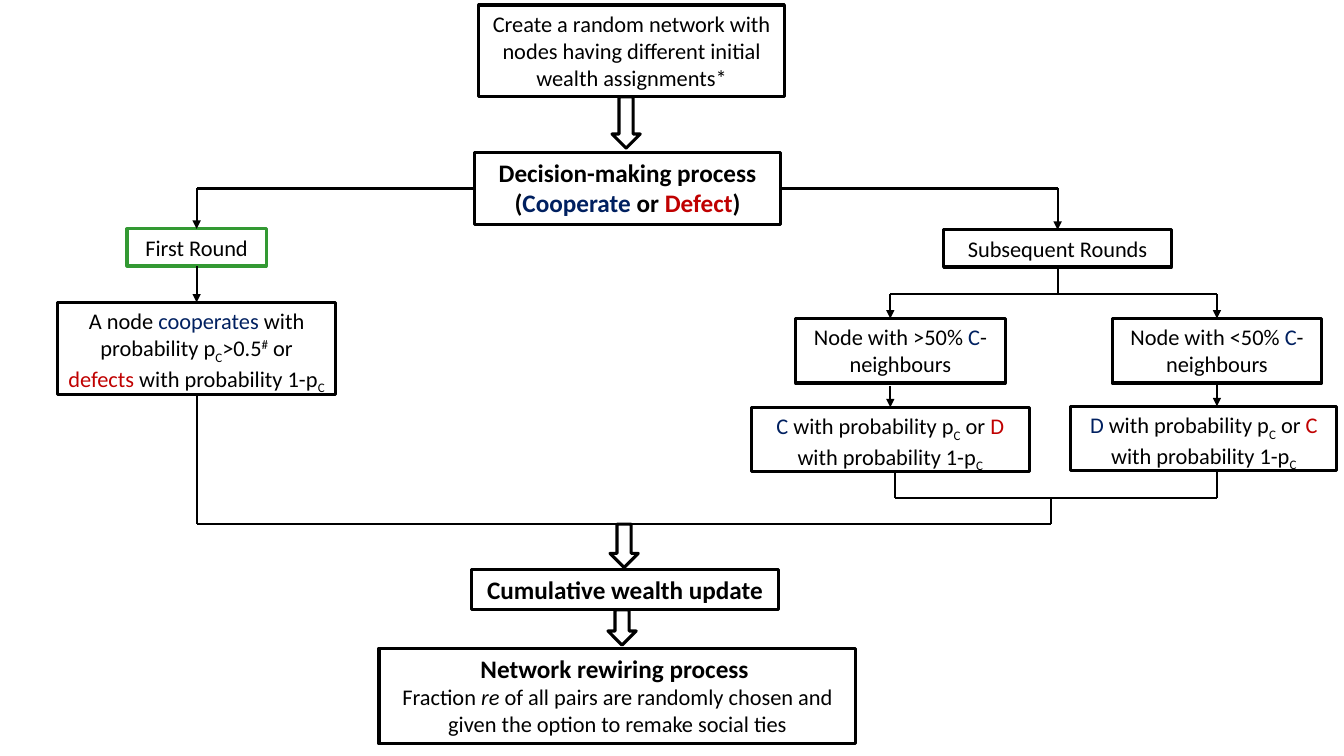
from dataclasses import dataclass

from pptx import Presentation
from pptx.dml.color import RGBColor
from pptx.enum.shapes import MSO_CONNECTOR, MSO_SHAPE
from pptx.enum.text import MSO_ANCHOR, PP_ALIGN
from pptx.oxml.ns import qn
from pptx.shapes.autoshape import Shape
from pptx.shapes.shapetree import SlideShapes
from pptx.text.text import _Paragraph as Paragraph
from pptx.util import Emu, Pt
from lxml.etree import SubElement

PX = 9144  # 100 px to the inch
FONT = "Calibri"
COLOURS = {"black": "000000", "blue": "002060", "red": "C00000", "green": "339933"}
TOP, LEFT, BOTTOM, RIGHT = range(4)


@dataclass(frozen=True)
class Span:
    text: str
    colour: str = "black"
    baseline: int = 0
    italic: bool = False


@dataclass(frozen=True)
class Para:
    spans: tuple[Span, ...]
    size: int = 16
    bold: bool = False


@dataclass(frozen=True)
class Box:
    key: str
    left: int
    top: int
    width: int
    height: int
    paras: tuple[Para, ...]
    outline: str = "black"


@dataclass(frozen=True)
class Joint:
    """The middle of one side of a box."""
    box: str
    side: int


@dataclass(frozen=True)
class Link:
    start: Joint | tuple[int, int]
    end: Joint | tuple[int, int]
    arrow: bool = False


def plain(text: str) -> tuple[Para, ...]:
    return (Para((Span(text),)),)


def heading(*spans: Span) -> Para:
    return Para(spans, size=18, bold=True)


def neighbours(sign: str) -> tuple[Para, ...]:
    return (Para((Span(f"Node with {sign}50% "), Span("C", "blue"), Span("-neighbours"))),)


SUB_C = Span("C", baseline=-25)


def choice(likely: str, unlikely: str) -> tuple[Para, ...]:
    return (Para((Span(likely, "blue"), Span(" with probability p"), SUB_C, Span(" or "),
                  Span(unlikely, "red"), Span(" with probability 1-p"), SUB_C)),)


FIRST_RULE = (Para((
    Span("A node "), Span("cooperates", "blue"), Span(" with probability p"), SUB_C,
    Span(">0.5"), Span("#", baseline=30), Span(" or "), Span("defects", "red"),
    Span(" with probability 1-p"), SUB_C)),)

BOXES = (
    Box("create", 475, 5, 303, 91, plain(
        "Create a random network with nodes having different initial wealth assignments*")),
    Box("decision", 471, 151, 303, 72, (
        heading(Span("Decision-making process")),
        heading(Span("("), Span("Cooperate", "blue"), Span(" or "), Span("Defect", "red"),
                Span(")")))),
    Box("first", 126, 227, 138, 37, plain("First Round"), "green"),
    Box("subsequent", 936, 228, 226, 37, plain("Subsequent Rounds")),
    Box("first rule", 57, 300, 276, 91, FIRST_RULE),
    Box("mostly C", 789, 316, 208, 64, neighbours(">")),
    Box("rarely C", 1103, 316, 208, 64, neighbours("<")),
    Box("choose C", 745, 404, 276, 64, choice("C", "D")),
    Box("choose D", 1062, 403, 264, 64, choice("D", "C")),
    Box("wealth", 468, 565, 304, 40, (heading(Span("Cumulative wealth update")),)),
    Box("rewiring", 376, 643, 473, 95, (
        heading(Span("Network rewiring process ")),
        Para((Span("Fraction "), Span("re", italic=True),
              Span(" of all pairs are randomly chosen and given the option to remake "
                   "social ties"))))),
)

BLOCK_ARROWS = ((607, 96, 28, 51), (605, 520, 28, 43), (603, 605, 28, 35))

FIRST_X, NEXT_X, C_X, D_X = 195, 1049, 883, 1207
FORK_Y, MERGE_Y, RAIL_Y = 292, 494, 520
MERGE_LEFT, MERGE_MID = 888, 1042

LINKS = (
    Link(Joint("decision", LEFT), (FIRST_X, 187)),
    Link(Joint("decision", RIGHT), (NEXT_X, 187)),
    Link((FIRST_X, 187), Joint("first", TOP), arrow=True),
    Link((NEXT_X, 187), Joint("subsequent", TOP), arrow=True),
    Link(Joint("first", BOTTOM), Joint("first rule", TOP), arrow=True),
    Link(Joint("subsequent", BOTTOM), (NEXT_X, FORK_Y)),
    Link((C_X, FORK_Y), (D_X, FORK_Y)),
    Link((C_X, FORK_Y), (C_X, 316), arrow=True),
    Link((D_X, FORK_Y), Joint("rarely C", TOP), arrow=True),
    Link((C_X, 383), Joint("choose C", TOP), arrow=True),
    Link(Joint("rarely C", BOTTOM), (D_X, 403), arrow=True),
    Link((MERGE_LEFT, 468), (MERGE_LEFT, MERGE_Y)),
    Link((D_X, 467), (D_X, MERGE_Y)),
    Link((MERGE_LEFT, MERGE_Y), (D_X, MERGE_Y)),
    Link((MERGE_MID, MERGE_Y), (MERGE_MID, RAIL_Y)),
    Link((MERGE_MID, RAIL_Y), (FIRST_X, RAIL_Y)),
    Link(Joint("first rule", BOTTOM), (FIRST_X, RAIL_Y)),
)


def px(length: int) -> Emu:
    return Emu(length * PX)


def rgb(name: str) -> RGBColor:
    return RGBColor.from_string(COLOURS[name])


def add_outline(shapes: SlideShapes, preset: MSO_SHAPE, frame: tuple[int, int, int, int],
                colour: str = "black") -> Shape:
    shape = shapes.add_shape(preset, *map(px, frame))
    shape.shadow.inherit = False
    shape.fill.background()
    shape.line.color.rgb = rgb(colour)
    shape.line.width = Pt(2.25)
    return shape


def write_para(target: Paragraph, para: Para) -> None:
    target.alignment = PP_ALIGN.CENTER
    target.font.name = FONT
    target.font.size = Pt(para.size)
    target.font.bold = para.bold
    for span in para.spans:
        run = target.add_run()
        run.text = span.text
        run.font.color.rgb = rgb(span.colour)
        if span.italic:
            run.font.italic = True
        if span.baseline:
            run._r.get_or_add_rPr().set("baseline", str(span.baseline * 1000))


def add_box(shapes: SlideShapes, box: Box) -> Shape:
    shape = add_outline(shapes, MSO_SHAPE.RECTANGLE,
                        (box.left, box.top, box.width, box.height), box.outline)
    frame = shape.text_frame
    frame.word_wrap = True
    frame.vertical_anchor = MSO_ANCHOR.TOP
    for index, para in enumerate(box.paras):
        write_para(frame.add_paragraph() if index else frame.paragraphs[0], para)
    return shape


def add_link(shapes: SlideShapes, link: Link, drawn: dict[str, Shape]) -> None:
    points = [(0, 0) if isinstance(end, Joint) else end for end in (link.start, link.end)]
    line = shapes.add_connector(MSO_CONNECTOR.STRAIGHT, *map(px, points[0] + points[1]))
    if isinstance(link.start, Joint):
        line.begin_connect(drawn[link.start.box], link.start.side)
    if isinstance(link.end, Joint):
        line.end_connect(drawn[link.end.box], link.end.side)
    line.line.color.rgb = rgb("black")
    line.line.width = Pt(1.5)
    if link.arrow:
        SubElement(line.line._get_or_add_ln(), qn("a:tailEnd")).set("type", "triangle")
    SubElement(line._element.spPr, qn("a:effectLst"))


def main() -> None:
    deck = Presentation()
    deck.slide_width, deck.slide_height = px(1333), px(750)
    shapes = deck.slides.add_slide(deck.slide_layouts[6]).shapes
    drawn = {box.key: add_box(shapes, box) for box in BOXES}
    for frame in BLOCK_ARROWS:
        add_outline(shapes, MSO_SHAPE.DOWN_ARROW, frame)
    for link in LINKS:
        add_link(shapes, link, drawn)
    deck.save("out.pptx")


if __name__ == "__main__":
    main()
